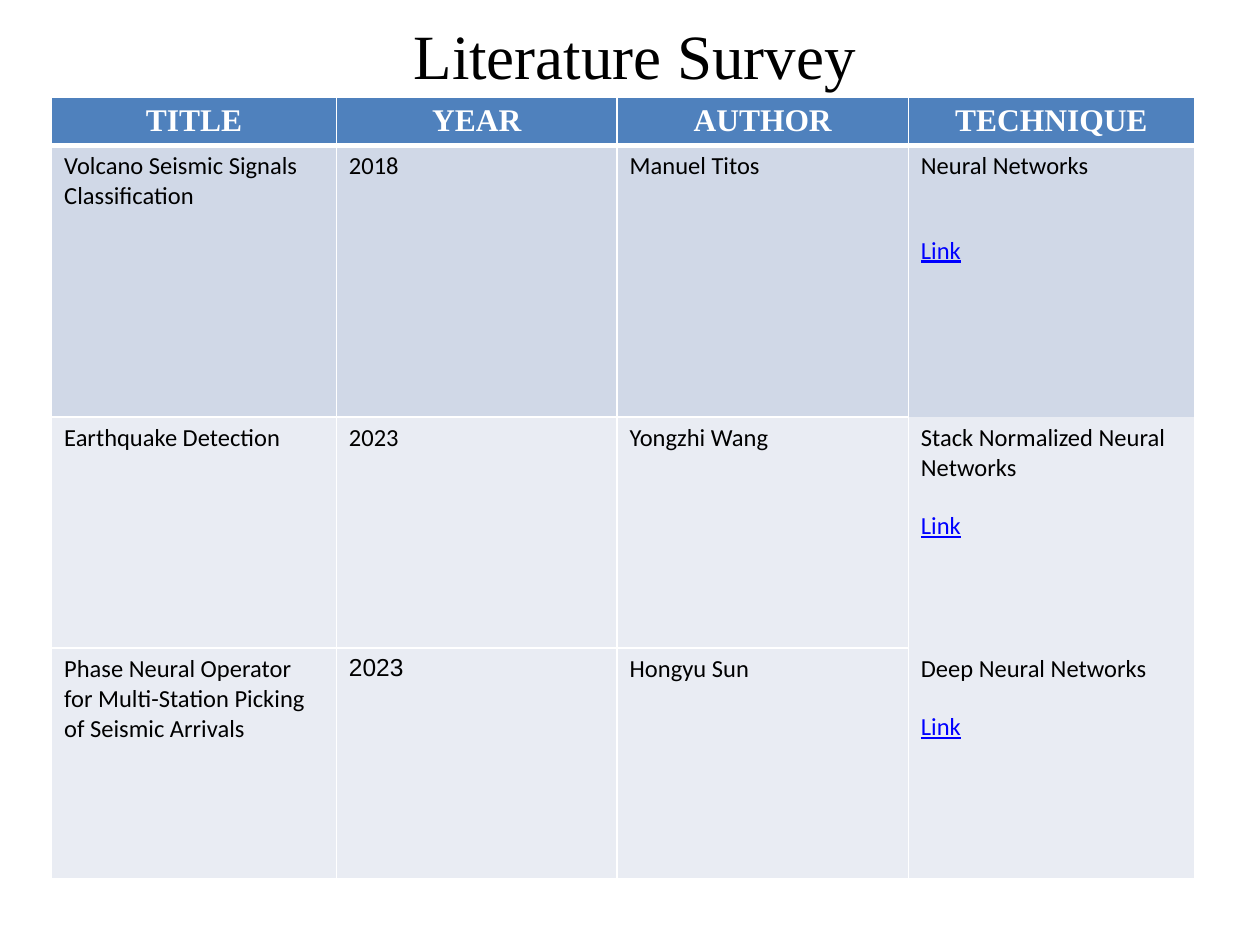
from dataclasses import dataclass

from lxml.etree import SubElement
from pptx import Presentation
from pptx.dml.color import RGBColor as RGB
from pptx.enum.text import MSO_ANCHOR as Anchor, MSO_AUTO_SIZE as AutoSize, PP_ALIGN as Align
from pptx.oxml.ns import qn
from pptx.util import Cm, Pt


@dataclass(frozen=True)
class Theme:
    black: str = "000000"
    white: str = "FFFFFF"
    link: str = "0000FF"
    header: str = "4F81BD"
    bands: tuple = ("D0D8E7", "E9ECF3", "E9ECF3")
    serif: str = "Times New Roman"
    body: str = "Calibri"
    title_size: int = 36
    header_size: int = 18
    body_size: int = 14
    line: float = 0.96
    header_line: float = 3


T = Theme()
COL_WIDTHS = (5.74, 5.66, 5.87, 5.77)
ROW_HEIGHTS = (0.97, 5.48, 4.65, 4.65)
HEADERS = ("TITLE", "YEAR", "AUTHOR", "TECHNIQUE")
PAPERS = (
    ("Volcano Seismic Signals Classification", "2018", "Manuel Titos", "Neural Networks"),
    ("Earthquake Detection", "2023", "Yongzhi Wang", "Stack Normalized Neural Networks"),
    ("Phase Neural Operator for Multi-Station Picking of Seismic Arrivals", "2023",
     "Hongyu Sun", "Deep Neural Networks"),
)
YEAR_FONTS = (T.body, T.body, "Arial")
LINK_GAPS = (31, 16, 16)


def write(p, text, size=T.body_size, font=T.body, color=T.black, bold=False,
          underline=False, align=Align.LEFT, before=0):
    p.alignment = align
    p.space_before = Pt(before)
    r = p.add_run()
    r.text = text
    r.font.size = Pt(size)
    r.font.name = font
    r.font.bold = bold
    r.font.underline = underline
    r.font.color.rgb = RGB.from_string(color)


def set_border(cell, side, width):
    ln = SubElement(cell._tc.get_or_add_tcPr(), qn(f"a:ln{side}"))
    if width:
        ln.set("w", str(Pt(width)))
        fill = SubElement(ln, qn("a:solidFill"))
        SubElement(fill, qn("a:srgbClr")).set("val", T.white)
    else:
        ln.set("w", "0")
        SubElement(ln, qn("a:noFill"))


def style_cell(cell, color, top, bottom):
    for side, width in (("L", T.line), ("R", T.line), ("T", top), ("B", bottom)):
        set_border(cell, side, width)
    cell.fill.solid()
    cell.fill.fore_color.rgb = RGB.from_string(color)


def add_title(s, text, left, top, width, height):
    sp = s.shapes.title
    sp.left, sp.top, sp.width, sp.height = Cm(left), Cm(top), Cm(width), Cm(height)
    tf = sp.text_frame
    tf.auto_size = AutoSize.NONE
    tf.word_wrap = True
    tf.vertical_anchor = Anchor.TOP
    tf.margin_left = tf.margin_right = tf.margin_bottom = 0
    tf.margin_top = Cm(0.13)
    write(tf.paragraphs[0], text, size=T.title_size, font=T.serif, align=Align.CENTER)


def add_survey(s, left, top):
    rows, cols = len(ROW_HEIGHTS), len(COL_WIDTHS)
    table = s.shapes.add_table(rows, cols, Cm(left), Cm(top), Cm(sum(COL_WIDTHS)),
                               Cm(sum(ROW_HEIGHTS))).table
    for col, width in zip(table.columns, COL_WIDTHS):
        col.width = Cm(width)
    for row, height in zip(table.rows, ROW_HEIGHTS):
        row.height = Cm(height)

    for c, text in enumerate(HEADERS):
        cell = table.cell(0, c)
        style_cell(cell, T.header, T.line, T.header_line)
        write(cell.text_frame.paragraphs[0], text, size=T.header_size, font=T.serif,
              color=T.white, bold=True, align=Align.CENTER)

    for i, paper in enumerate(PAPERS):
        for c, text in enumerate(paper):
            cell = table.cell(i + 1, c)
            inner = 0 if c == cols - 1 else T.line
            style_cell(cell, T.bands[i],
                       T.header_line if i == 0 else inner,
                       T.line if i == len(PAPERS) - 1 else inner)
            write(cell.text_frame.paragraphs[0], text,
                  font=YEAR_FONTS[i] if c == 1 else T.body)
        write(table.cell(i + 1, cols - 1).text_frame.add_paragraph(), "Link",
              color=T.link, underline=True, before=LINK_GAPS[i])


def main():
    prs = Presentation()
    prs.slide_width, prs.slide_height = Cm(25.4), Cm(19.05)
    s = prs.slides.add_slide(prs.slide_layouts[5])
    add_title(s, "Literature Survey", 1.37, 0.2, 22.86, 3.18)
    add_survey(s, 1.04, 1.96)
    prs.save("out.pptx")


if __name__ == "__main__":
    main()
